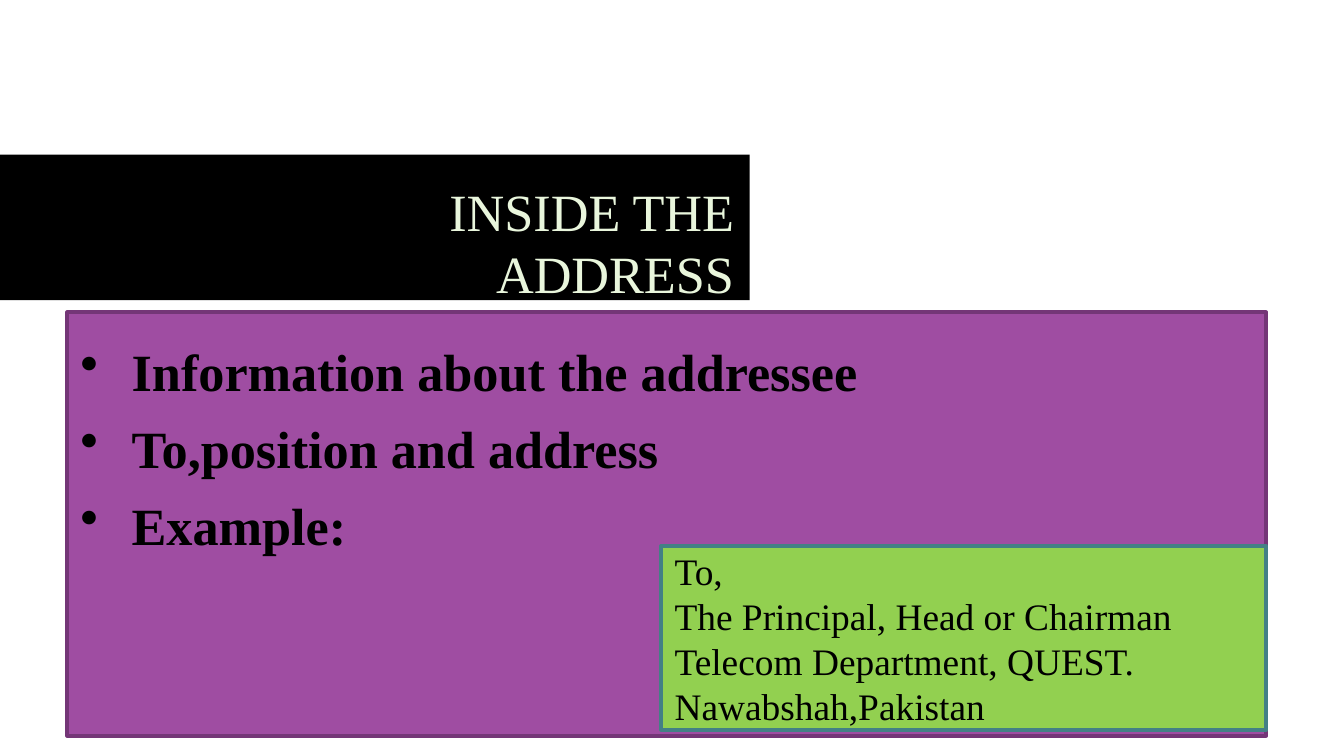
import dataclasses

import pptx
import pptx.dml.color
import pptx.enum.shapes
import pptx.enum.text
import pptx.oxml
import pptx.oxml.ns
import pptx.util

Cm = pptx.util.Cm
Pt = pptx.util.Pt
Align = pptx.enum.text.PP_ALIGN
Anchor = pptx.enum.text.MSO_ANCHOR


@dataclasses.dataclass(frozen=True)
class Theme:
    font: str = "Times New Roman"
    heading_size: int = 28
    address_size: int = 20
    border_width: float = 2.04
    ink: str = "000000"
    title_text: str = "E9F6DC"
    panel: str = "9F4DA2"
    panel_border: str = "743677"
    card: str = "92D050"
    card_border: str = "438085"


THEME = Theme()


def color(value):
    return pptx.dml.color.RGBColor.from_string(value)


def add_box(slide, box, fill, border=None):
    shape = slide.shapes.add_shape(pptx.enum.shapes.MSO_SHAPE.RECTANGLE, *map(Cm, box))
    shape.shadow.inherit = False
    shape.fill.solid()
    shape.fill.fore_color.rgb = color(fill)
    if border:
        shape.line.color.rgb = color(border)
        shape.line.width = Pt(THEME.border_width)
    else:
        shape.line.fill.background()
    return shape


def add_bullet(paragraph):
    namespace = pptx.oxml.ns.nsdecls("a")
    bullet = pptx.oxml.parse_xml(f'<a:buChar {namespace} char="•"/>')
    paragraph._p.get_or_add_pPr().append(bullet)


def write_text(shape, paragraphs, size, text_color, bold=False, align=Align.LEFT,
               anchor=Anchor.TOP, inset=0, before=(0,), left=0, indent=0, bullet=False):
    frame = shape.text_frame
    frame.word_wrap = True
    frame.vertical_anchor = anchor
    frame.margin_left = frame.margin_right = frame.margin_bottom = 0
    frame.margin_top = Cm(inset)
    for index, text in enumerate(paragraphs):
        paragraph = frame.add_paragraph() if index else frame.paragraphs[0]
        paragraph.text = text
        paragraph.alignment = align
        paragraph.space_before = Pt(before[min(index, len(before) - 1)])
        properties = paragraph._p.get_or_add_pPr()
        properties.set("marL", str(Cm(left)))
        properties.set("indent", str(Cm(indent)))
        if bullet:
            add_bullet(paragraph)
        for run in paragraph.runs:
            run.font.name = THEME.font
            run.font.size = Pt(size)
            run.font.bold = bold
            run.font.color.rgb = color(text_color)


def add_title(slide, box, text):
    left, top, width, height = box
    add_box(slide, box, THEME.ink)
    text_width = 9.22
    text_left = left + width - text_width - 0.3
    title = slide.shapes.add_textbox(
        Cm(text_left), Cm(top + 0.41), Cm(text_width), Cm(2.44))
    write_text(title, [text], THEME.heading_size, THEME.title_text, align=Align.RIGHT,
               anchor=Anchor.MIDDLE, inset=0.03, before=(1.1,), left=0.03)


def add_points(slide, box, points):
    left, top, width, height = box
    add_box(slide, box, THEME.panel, THEME.panel_border)
    body = slide.shapes.add_textbox(Cm(left + 0.23), Cm(top + 0.2), Cm(16.56), Cm(4.47))
    write_text(body, points, THEME.heading_size, THEME.ink, bold=True, inset=0.3,
               before=(8.7, 7.7), left=0.99, indent=-0.97, bullet=True)


def add_address(slide, box, lines):
    card = add_box(slide, box, THEME.card, THEME.card_border)
    write_text(card, ["\v".join(lines)], THEME.address_size, THEME.ink,
               inset=0.05, before=(1.6,), left=0.25)


def main():
    presentation = pptx.Presentation()
    presentation.slide_width = Cm(25.4)
    presentation.slide_height = Cm(14.28)
    slide = presentation.slides.add_slide(presentation.slide_layouts[6])
    add_title(slide, (0, 2.92, 14.17, 2.75), "INSIDE THE ADDRESS")
    add_points(slide, (1.27, 5.9, 22.66, 8),
               ["Information about the addressee", "To,position and address", "Example:"])
    add_address(slide, (12.5, 10.31, 11.43, 3.48),
                ["To,", "The Principal, Head or Chairman",
                 "Telecom Department, QUEST.", "Nawabshah,Pakistan"])
    presentation.save("out.pptx")


if __name__ == "__main__":
    main()
